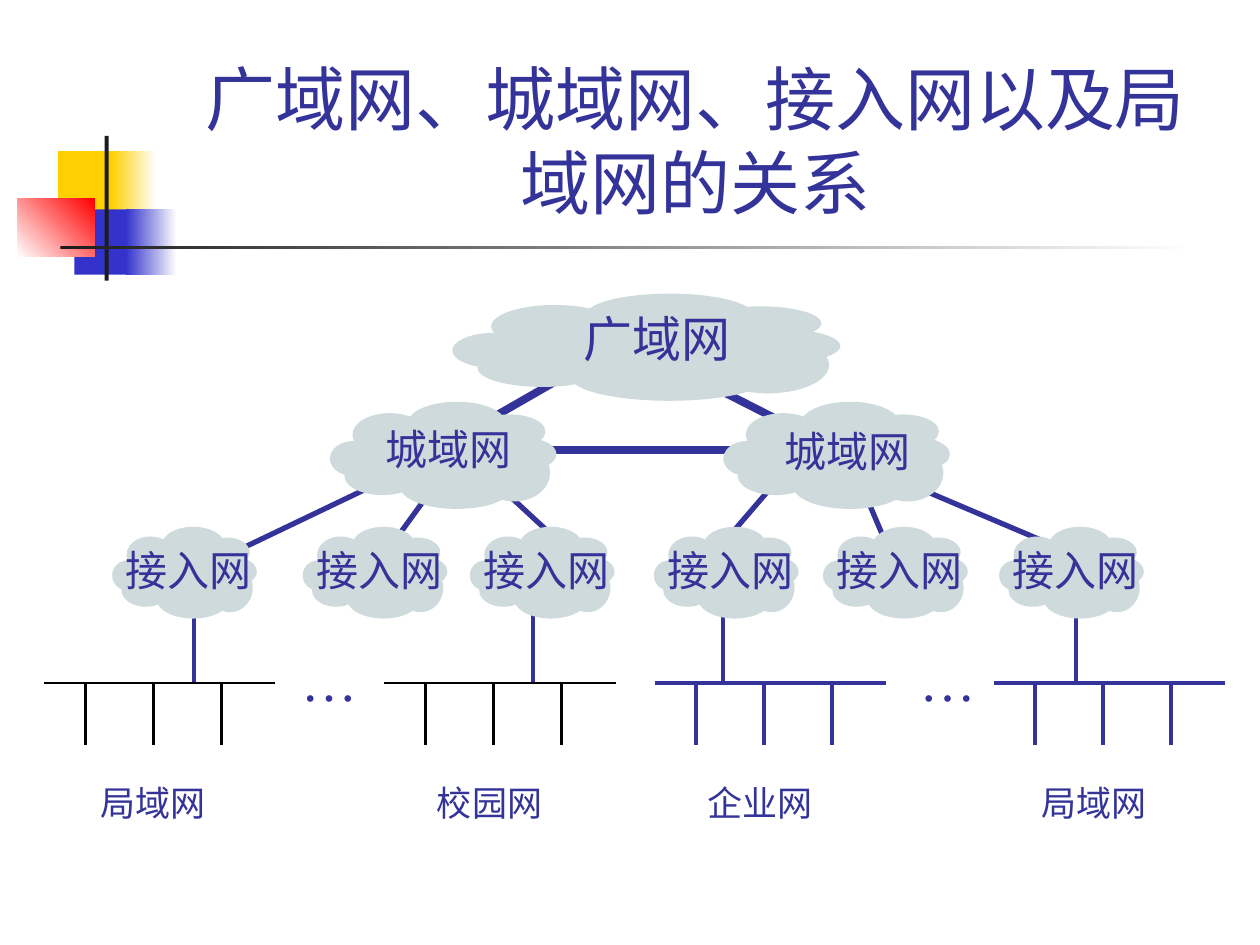
"""Build a slide showing how wide, metropolitan, access and local networks relate."""
from dataclasses import dataclass

from lxml.etree import SubElement
from pptx import Presentation
from pptx.dml.color import RGBColor
from pptx.enum.shapes import MSO_CONNECTOR, MSO_SHAPE
from pptx.enum.text import MSO_ANCHOR, MSO_AUTO_SIZE, PP_ALIGN
from pptx.oxml.ns import qn
from pptx.util import Cm, Pt


@dataclass(frozen=True)
class Theme:
    ink: str = "333399"
    cloud: str = "CEDADB"
    black: str = "000000"
    dark: str = "1C1C1C"
    yellow: str = "FFCF01"
    blue: str = "3333CC"
    red: str = "FF0000"
    white: str = "FFFFFF"
    title_font: str = "DejaVu Sans"
    body_font: str = "Times New Roman"
    title: int = 40
    dots: int = 32
    wan: int = 28
    node: int = 24
    lan: int = 20
    trunk: float = 4.5
    link: float = 3
    bus: float = 2.25
    thin: float = 1.5


T = Theme()

TITLE = "广域网、城域网、接入网以及局域网的关系"
DECOR = [
    ((1.17, 3.05, 1.22, 1.32), (T.yellow,), 0),
    ((2.24, 3.05, 0.91, 1.32), (T.yellow, T.white), 0),
    ((1.5, 4.22, 1.17, 1.32), (T.blue,), 0),
    ((2.54, 4.22, 1.02, 1.32), (T.blue, T.white), 0),
    ((0.36, 4.01, 1.55, 1.17), (T.white, T.red), 45),
    ((2.11, 2.74, 0.08, 2.92), (T.dark,), 0),
    ((1.22, 4.95, 22.86, 0.08), (T.dark, T.white), 0),
]
DROPS = [21.69, 14.58, 10.74, 3.91]
LINKS = [
    (7.75, 4.47, 11.25), (8.84, 7.92, 10.95), (9.93, 11.3, 10.95),
    (15.67, 14.58, 10.95), (17.32, 17.86, 10.95), (18.14, 21.13, 10.95),
]
TRUNKS = [
    (12.12, 7.16, 9.37, 8.74), (13.77, 7.49, 16.23, 8.74), (10.46, 9.07, 15.11, 9.07),
]
PUFFS = [
    (34.4, 0, 43.2, 40), (10, 10.6, 32.8, 40), (0, 36.5, 21.8, 33),
    (6.5, 51.8, 33.4, 35.3), (30.8, 57.6, 50.3, 42.4), (63.6, 11.8, 31.5, 31.8),
    (68.5, 32.9, 31.5, 31.8), (65.6, 40, 31.5, 53), (18.2, 24.7, 64.9, 52.9),
]
ACCESS_X = [2.26, 6.1, 9.47, 13.18, 16.59, 20.14]
NODE_TEXT = (3.05, 1.27)
CLOUDS = [
    ((6.65, 8.1, 4.57, 2.16), "城域网", (7.52, 8.41, *NODE_TEXT), T.node),
    ((14.58, 8.1, 4.57, 2.16), "城域网", (15.57, 8.46, *NODE_TEXT), T.node),
    *[((x, 10.62, 2.92, 1.85), "接入网", (x + 0.03, 10.85, *NODE_TEXT), T.node)
      for x in ACCESS_X],
    ((9.12, 5.92, 7.82, 2.16), "广域网", (11.51, 6.1, 3.48, 1.45), T.wan),
]
BUSES = [
    (0.89, T.black, T.thin), (7.75, T.black, T.thin),
    (13.2, T.ink, T.bus), (20.04, T.ink, T.bus),
]
BUS_Y, BUS_W, TICK_H, TICK_GAP = 13.77, 4.66, 1.24, 1.37
LANS = [("局域网", 1.78), ("校园网", 8.56), ("企业网", 14.02), ("局域网", 20.75)]
DOTS_X = [5.82, 18.29]


def rgb(color):
    return RGBColor.from_string(color)


def add_shape(shapes, kind, box, colors, angle=0):
    sp = shapes.add_shape(kind, *map(Cm, box))
    sp.shadow.inherit = False
    sp.line.fill.background()
    if len(colors) == 1:
        sp.fill.solid()
        sp.fill.fore_color.rgb = rgb(colors[0])
    else:
        sp.fill.gradient()
        sp.fill.gradient_angle = angle
        for stop, color in zip(sp.fill.gradient_stops, colors):
            stop.color.rgb = rgb(color)


def add_line(shapes, ends, color, width):
    cxn = shapes.add_connector(MSO_CONNECTOR.STRAIGHT, *map(Cm, ends))
    cxn.line.color.rgb = rgb(color)
    cxn.line.width = Pt(width)
    SubElement(cxn._element.spPr, qn("a:effectLst"))


def add_text(s, text, box, size, font=T.body_font):
    tf = s.shapes.add_textbox(*map(Cm, box)).text_frame
    tf.text = text
    tf.word_wrap = False
    tf.auto_size = MSO_AUTO_SIZE.SHAPE_TO_FIT_TEXT
    r = tf.paragraphs[0].runs[0]
    r.font.name, r.font.size = font, Pt(size)
    r.font.color.rgb = rgb(T.ink)
    return tf


def add_cloud(s, box):
    x, y, w, h = box
    group = s.shapes.add_group_shape()
    for px, py, pw, ph in PUFFS:
        puff = (x + w * px / 100, y + h * py / 100, w * pw / 100, h * ph / 100)
        add_shape(group.shapes, MSO_SHAPE.OVAL, puff, (T.cloud,))


def add_bus(s, x, color, width):
    group = s.shapes.add_group_shape()
    first = x + BUS_W / 2 - 0.13 - TICK_GAP
    for i in range(3):
        tick = first + i * TICK_GAP
        add_line(group.shapes, (tick, BUS_Y + TICK_H, tick, BUS_Y), color, width)
    add_line(group.shapes, (x, BUS_Y, x + BUS_W, BUS_Y), color, width)


def main():
    prs = Presentation()
    prs.slide_width, prs.slide_height = Cm(25.4), Cm(19.05)
    s = prs.slides.add_slide(prs.slide_layouts[6])
    for box, colors, angle in DECOR:
        add_shape(s.shapes, MSO_SHAPE.RECTANGLE, box, colors, angle)
    tf = add_text(s, TITLE, (3.2, 0.58, 21.64, 4.06), T.title, T.title_font)
    tf.word_wrap = True
    tf.auto_size = MSO_AUTO_SIZE.NONE
    tf.vertical_anchor = MSO_ANCHOR.BOTTOM
    tf.paragraphs[0].alignment = PP_ALIGN.CENTER
    for x in DROPS:
        add_line(s.shapes, (x, 12.19, x, BUS_Y), T.ink, T.bus)
    for x1, x2, y2 in LINKS:
        add_line(s.shapes, (x1, 9.68, x2, y2), T.ink, T.link)
    for ends in TRUNKS:
        add_line(s.shapes, ends, T.ink, T.trunk)
    for box, text, text_box, size in CLOUDS:
        add_cloud(s, box)
        add_text(s, text, text_box, size)
    for bus in BUSES:
        add_bus(s, *bus)
    for text, x in LANS:
        add_text(s, text, (x, 15.62, 2.62, 1.12), T.lan)
    for x in DOTS_X:
        add_text(s, "…", (x, 12.88, 1.65, 1.6), T.dots)
    prs.save("out.pptx")


if __name__ == "__main__":
    main()
